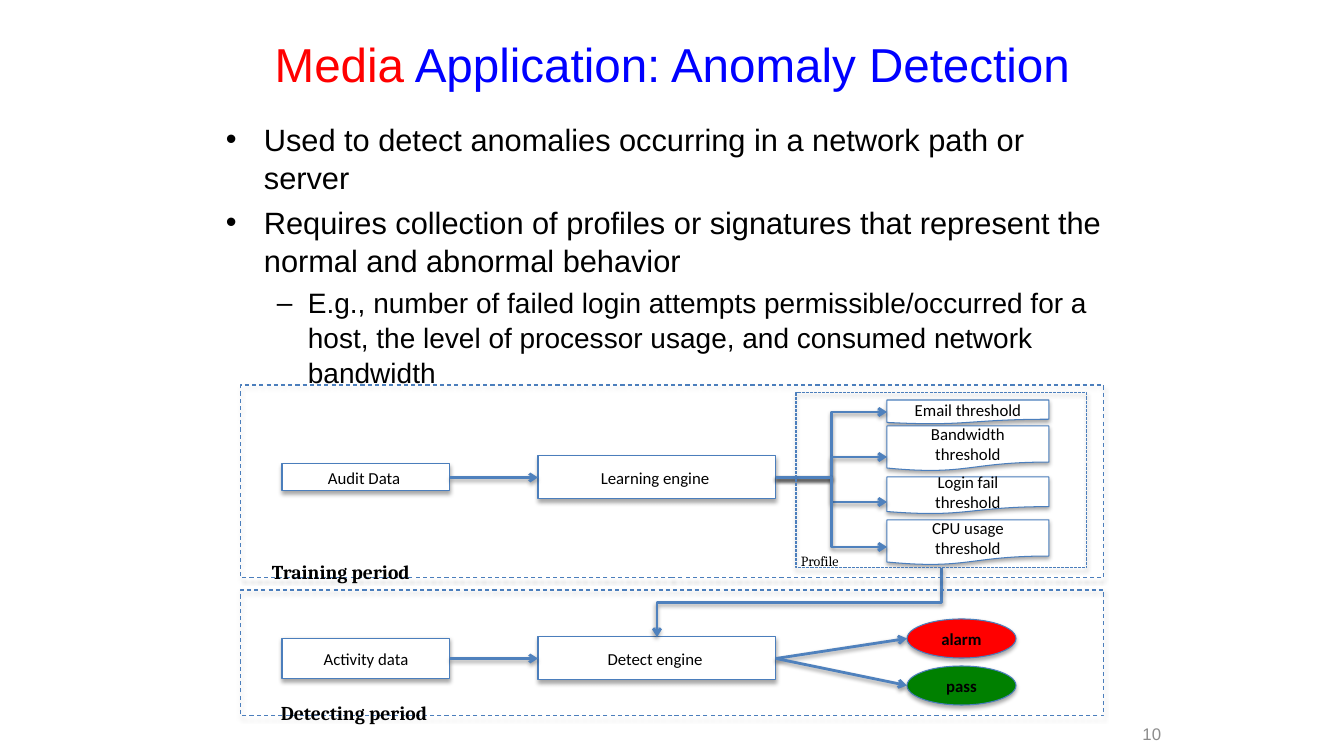
from lxml import etree
from pptx import Presentation
from pptx import util as u
from pptx.dml.color import RGBColor
from pptx.enum import dml, shapes, text
from pptx.oxml.ns import qn

PX = 914400 / 100.8
BLACK = RGBColor(0, 0, 0)
WHITE = RGBColor(255, 255, 255)
RED = RGBColor(255, 0, 0)
BLUE = RGBColor(0, 0, 255)
GREEN = RGBColor(0, 128, 0)
GRAY = RGBColor(0x8C, 0x8C, 0x8C)
OUTLINE = RGBColor(0x4B, 0x7E, 0xBC)
ARROW = RGBColor(0x4F, 0x81, 0xBD)

SHAPE, ALIGN = shapes.MSO_SHAPE, text.PP_ALIGN
RECT, DOC, OVAL = SHAPE.RECTANGLE, SHAPE.FLOWCHART_DOCUMENT, SHAPE.FLOWCHART_CONNECTOR
STRAIGHT, ELBOW = shapes.MSO_CONNECTOR.STRAIGHT, shapes.MSO_CONNECTOR.ELBOW

TITLE = [("Media", RED), (" Application: Anomaly Detection", BLUE)]
# text, size, bullet, left margin, hanging indent
BULLETS = [
    ("Used to detect anomalies occurring in a network path or server", 22, "•", 38, 38),
    ("Requires collection of profiles or signatures that represent the "
     "normal and abnormal behavior", 22, "•", 38, 38),
    ("E.g., number of failed login attempts permissible/occurred for a host, "
     "the level of processor usage, and consumed network bandwidth", 20, "–", 82, 31),
]
AUDIT, LEARN = (282, 464, 168, 27), (538, 456, 238, 43)
ACTIVITY, DETECT = (282, 638, 168, 41), (538, 637, 238, 43)
ALARM, PASS = (907, 619, 109, 39), (907, 666, 109, 39)
TRAINING, DETECTING = (241, 385, 863, 193), (241, 590, 863, 126)
PROFILE = (796, 393, 291, 175)
DOC_X, DOC_W = 887, 162
# label, top, height
THRESHOLDS = [("Email threshold", 400, 24), ("Bandwidth threshold", 426, 45),
              ("Login fail\nthreshold", 477, 37), ("CPU usage\nthreshold", 520, 45)]
PORT_Y, PORT_STEP = 412, 45

NODES = [("Audit Data ", RECT, AUDIT, WHITE, False),
         ("Learning engine ", RECT, LEARN, WHITE, False),
         ("Activity data", RECT, ACTIVITY, WHITE, False),
         ("Detect engine ", RECT, DETECT, WHITE, False),
         ("alarm", OVAL, ALARM, RED, True),
         ("pass", OVAL, PASS, GREEN, True)]
NODES += [(label, DOC, (DOC_X, y, DOC_W, h), WHITE, False) for label, y, h in THRESHOLDS]
FRAMES = [(TRAINING, dml.MSO_LINE.DASH), (DETECTING, dml.MSO_LINE.DASH),
          (PROFILE, dml.MSO_LINE.SQUARE_DOT)]
LABELS = [("Training period", (262, 555, 163, 34), 14, True),
          ("Detecting period", (271, 696, 172, 34), 14, True),
          ("Profile", (791, 548, 60, 27), 10, False)]


def px(*values):
    return [u.Emu(round(v * PX)) for v in values]


def set_all(obj, **values):
    for name, value in values.items():
        setattr(obj, name, value)


def style(run, face, size, color=BLACK, bold=False):
    set_all(run.font, name=face, size=u.Pt(size), bold=bold)
    run.font.color.rgb = color


def text_box(box, wrap=True, anchor=text.MSO_ANCHOR.TOP):
    tf = slide.shapes.add_textbox(*px(*box)).text_frame
    set_all(tf, word_wrap=wrap, vertical_anchor=anchor)
    return tf


def add_shadow(sp_pr, alpha):
    effects = sp_pr.find(qn("a:effectLst"))
    if effects is None:
        effects = etree.SubElement(sp_pr, qn("a:effectLst"))
    shadow = etree.SubElement(effects, qn("a:outerShdw"), blurRad=str(u.Pt(3.1)),
                              dist=str(u.Pt(1.8)), dir="5400000", rotWithShape="0")
    color = etree.SubElement(shadow, qn("a:srgbClr"), val="000000")
    etree.SubElement(color, qn("a:alpha"), val=str(alpha * 1000))


def add_block(kind, box, fill=None, dash=None):
    sp = slide.shapes.add_shape(kind, *px(*box))
    if fill is None:
        sp.fill.background()
    else:
        sp.fill.solid()
        sp.fill.fore_color.rgb = fill
    sp.line.color.rgb = OUTLINE
    set_all(sp.line, width=u.Pt(0.75), dash_style=dash)
    sp.shadow.inherit = False
    add_shadow(sp._element.spPr, 35)
    return sp


def add_arrow(start, end, kind=STRAIGHT, downward=False):
    """Join two points; a downward elbow leaves and arrives vertically."""
    (x1, y1), (x2, y2) = start, end
    if downward:  # the elbow is laid out sideways, then turned a quarter
        cx, cy = (x1 + x2) / 2, (y1 + y2) / 2
        half_w, half_h = (y2 - y1) / 2, (x1 - x2) / 2
        x1, y1, x2, y2 = cx - half_w, cy - half_h, cx + half_w, cy + half_h
    c = slide.shapes.add_connector(kind, *px(x1, y1, x2, y2))
    c.line.color.rgb = ARROW
    c.line.width = u.Pt(2)
    sp_pr = c._element.spPr
    if downward:
        sp_pr.find(qn("a:xfrm")).set("rot", "5400000")
    etree.SubElement(sp_pr.find(qn("a:ln")), qn("a:tailEnd"), type="arrow")
    add_shadow(sp_pr, 38)


def left(box):
    return box[0], box[1] + box[3] / 2


def right(box):
    return box[0] + box[2], box[1] + box[3] / 2


def top(box):
    return box[0] + box[2] / 2, box[1]


def bottom(box):
    return box[0] + box[2] / 2, box[1] + box[3]


prs = Presentation()
prs.slide_width, prs.slide_height = px(1344, 756)
slide = prs.slides.add_slide(prs.slide_layouts[6])

p = text_box((219, 0, 907, 126), anchor=text.MSO_ANCHOR.MIDDLE).paragraphs[0]
p.alignment = ALIGN.CENTER
for words, color in TITLE:
    r = p.add_run()
    r.text = words
    style(r, "Arial", 34, color)

p = text_box((1102, 726, 69, 15), anchor=text.MSO_ANCHOR.MIDDLE).paragraphs[0]
p.alignment = ALIGN.RIGHT
r = p.add_run()
r.text = "10"
style(r, "Arial", 12, GRAY)

tf = text_box((216, 114, 907, 251))
for i, (words, size, bullet, margin, hang) in enumerate(BULLETS):
    p = tf.add_paragraph() if i else tf.paragraphs[0]
    p_pr = p._p.get_or_add_pPr()
    p_pr.set("marL", str(px(margin)[0]))
    p_pr.set("indent", str(px(-hang)[0]))
    etree.SubElement(p_pr, qn("a:buFont"), typeface="Arial")
    etree.SubElement(p_pr, qn("a:buChar"), char=bullet)
    set_all(p, line_spacing=1.04, space_before=u.Pt(size / 5 if i else 0))
    r = p.add_run()
    r.text = words
    style(r, "Arial", size)

for label, kind, box, fill, bold in NODES:
    tf = add_block(kind, box, fill).text_frame
    set_all(tf, text=label, word_wrap=True, vertical_anchor=text.MSO_ANCHOR.MIDDLE)
    for p in tf.paragraphs:
        p.alignment = ALIGN.CENTER
        style(p.runs[0], "Calibri", 12, BLACK, bold)

add_arrow(right(AUDIT), left(LEARN))
for i in range(len(THRESHOLDS)):
    add_arrow(right(LEARN), (DOC_X, PORT_Y + i * PORT_STEP), ELBOW)
add_arrow(bottom(PROFILE), top(DETECT), ELBOW, downward=True)
add_arrow(right(ACTIVITY), left(DETECT))
for outcome in (ALARM, PASS):
    add_arrow(right(DETECT), left(outcome))

for box, dash in FRAMES:
    add_block(RECT, box, dash=dash)

for label, box, size, bold in LABELS:
    tf = text_box(box, wrap=False)
    set_all(tf, text=label, auto_size=text.MSO_AUTO_SIZE.SHAPE_TO_FIT_TEXT)
    style(tf.paragraphs[0].runs[0], "Cambria", size, BLACK, bold)

prs.save("out.pptx")
